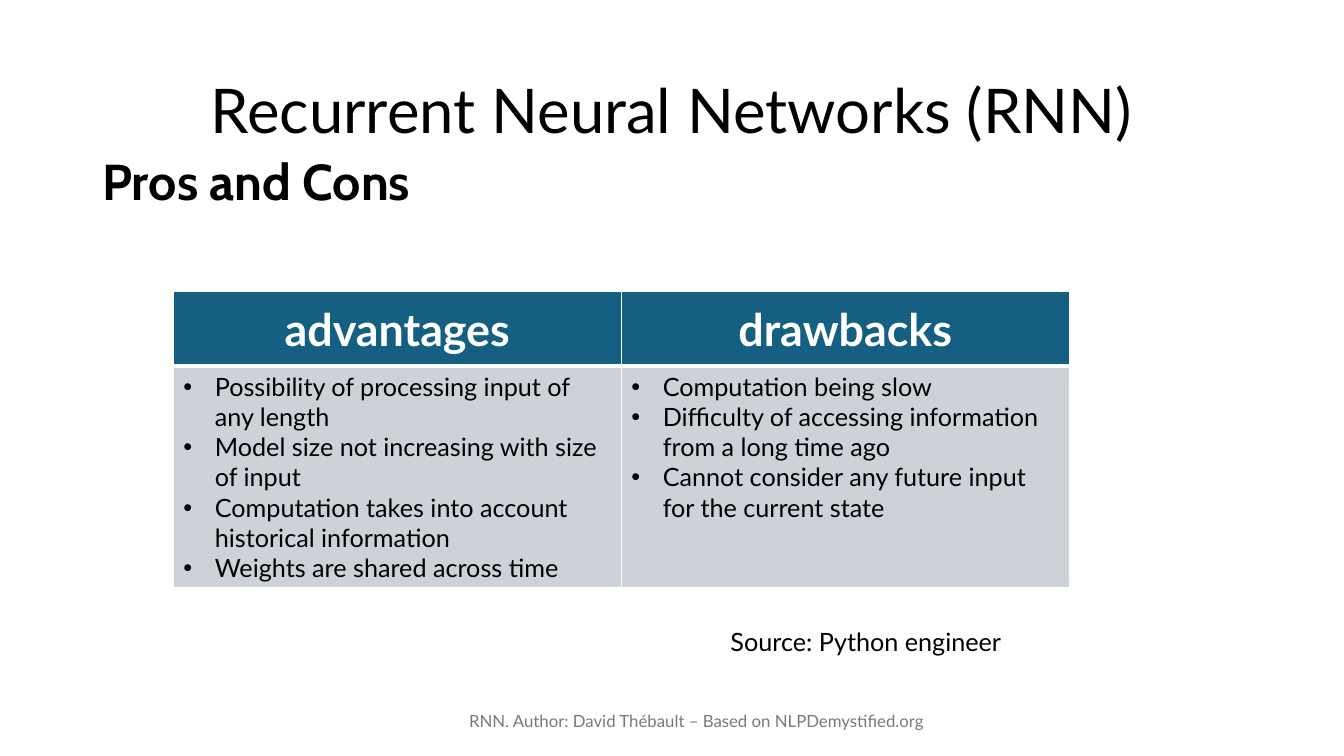
from dataclasses import dataclass

from lxml.etree import SubElement
from pptx import Presentation
from pptx.dml.color import RGBColor
from pptx.enum.text import MSO_ANCHOR as Anchor, PP_ALIGN as Align
from pptx.oxml import parse_xml
from pptx.oxml.ns import nsdecls, qn
from pptx.util import Cm, Pt


@dataclass(frozen=True)
class Theme:
    """Fonts, colours and type sizes of the slide."""
    body_font: str = "Lato"
    accent_font: str = "Cabin"
    ink: str = "000000"
    paper: str = "FFFFFF"
    muted: str = "797979"
    header_fill: str = "156082"
    body_fill: str = "CCD2D8"
    title: int = 44
    subtitle: int = 36
    header: int = 32
    body: int = 18
    footer: int = 12
    thin: int = 1
    thick: int = 3


THEME = Theme()

COLUMNS = {
    "advantages": [
        "Possibility of processing input of any length",
        "Model size not increasing with size of input",
        "Computation takes into account historical information",
        "Weights are shared across time",
    ],
    "drawbacks": [
        "Computation being slow",
        "Difficulty of accessing information from a long time ago",
        "Cannot consider any future input for the current state",
    ],
}


def style(p, size, color=THEME.ink, font=THEME.body_font, bold=False):
    """Format every run of a paragraph."""
    for r in p.runs:
        r.font.name = font
        r.font.size = Pt(size)
        r.font.bold = bold
        r.font.color.rgb = RGBColor.from_string(color)


def add_text(slide, text, box, size, align=Align.LEFT, anchor=Anchor.TOP, spacing=1.0, **look):
    """Add a wrapped one-paragraph text box; box is in centimetres."""
    tf = slide.shapes.add_textbox(*map(Cm, box)).text_frame
    tf.word_wrap = True
    tf.vertical_anchor = anchor
    p = tf.paragraphs[0]
    p.text = text
    p.alignment = align
    p.line_spacing = spacing
    style(p, size, **look)


def add_bullet(p, indent=Cm(0.79)):
    """Give a paragraph a hanging round bullet."""
    pPr = p._p.get_or_add_pPr()
    pPr.set("marL", str(indent))
    pPr.set("indent", str(-indent))
    SubElement(pPr, qn("a:buFont")).set("typeface", "Arial")
    SubElement(pPr, qn("a:buChar")).set("char", "•")


def paint_cell(cell, fill, **widths):
    """Fill a cell and draw its borders, thin unless a side has its own width."""
    cell.fill.solid()
    cell.fill.fore_color.rgb = RGBColor.from_string(fill)
    tcPr = cell._tc.get_or_add_tcPr()
    for i, side in enumerate("LRTB"):
        width = Pt(widths.get(side, THEME.thin))
        tcPr.insert(i, parse_xml(
            f'<a:ln{side} {nsdecls("a")} w="{width}"><a:solidFill>'
            f'<a:srgbClr val="{THEME.paper}"/></a:solidFill></a:ln{side}>'))


def fill_header(cell, text):
    """Write a column heading."""
    paint_cell(cell, THEME.header_fill, B=THEME.thick)
    cell.vertical_anchor = Anchor.MIDDLE
    p = cell.text_frame.paragraphs[0]
    p.text = text
    p.alignment = Align.CENTER
    style(p, THEME.header, THEME.paper, bold=True)


def fill_bullets(cell, items):
    """Write a bulleted list, one paragraph per item."""
    paint_cell(cell, THEME.body_fill, T=THEME.thick)
    tf = cell.text_frame
    tf.text = "\n".join(items)
    for p in tf.paragraphs:
        add_bullet(p)
        style(p, THEME.body)


def add_comparison(slide, columns, box, header_height):
    """Add a table with one heading and one bulleted cell per column."""
    left, top, width, height = map(Cm, box)
    table = slide.shapes.add_table(2, len(columns), left, top, width, height).table
    table.rows[0].height = header_height
    table.rows[1].height = height - header_height
    for i, (heading, items) in enumerate(columns.items()):
        fill_header(table.cell(0, i), heading)
        fill_bullets(table.cell(1, i), items)


def main():
    """Build and save the slide."""
    prs = Presentation()
    prs.slide_width, prs.slide_height = Cm(33.87), Cm(19.05)
    slide = prs.slides.add_slide(prs.slide_layouts[6])
    add_text(slide, "Recurrent Neural Networks (RNN)", (2.33, 1.01, 29.21, 3.68),
             THEME.title, Align.CENTER, Anchor.MIDDLE, spacing=0.9)
    add_text(slide, "Pros and Cons", (2.33, 3.66, 27.86, 2.84),
             THEME.subtitle, font=THEME.accent_font, bold=True)
    add_text(slide, "RNN. Author: David Thébault – Based on NLPDemystified.org",
             (11.23, 17.66, 12.65, 1.01), THEME.footer, Align.CENTER, Anchor.MIDDLE,
             color=THEME.muted)
    add_comparison(slide, COLUMNS, (4.37, 7.35, 22.58, 7.46), Cm(1.88))
    add_text(slide, "Source: Python engineer", (18.16, 15.65, 8.79, 1.02), THEME.body)
    prs.save("out.pptx")


if __name__ == "__main__":
    main()
